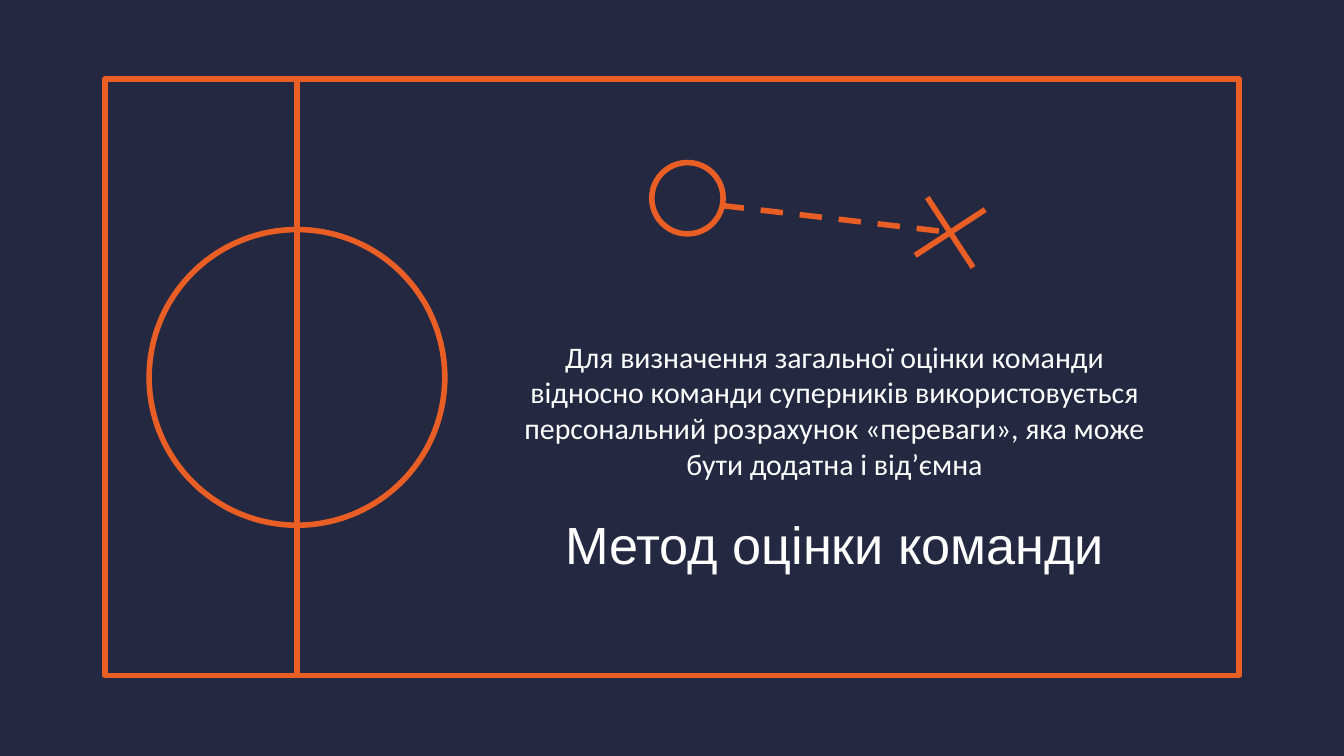
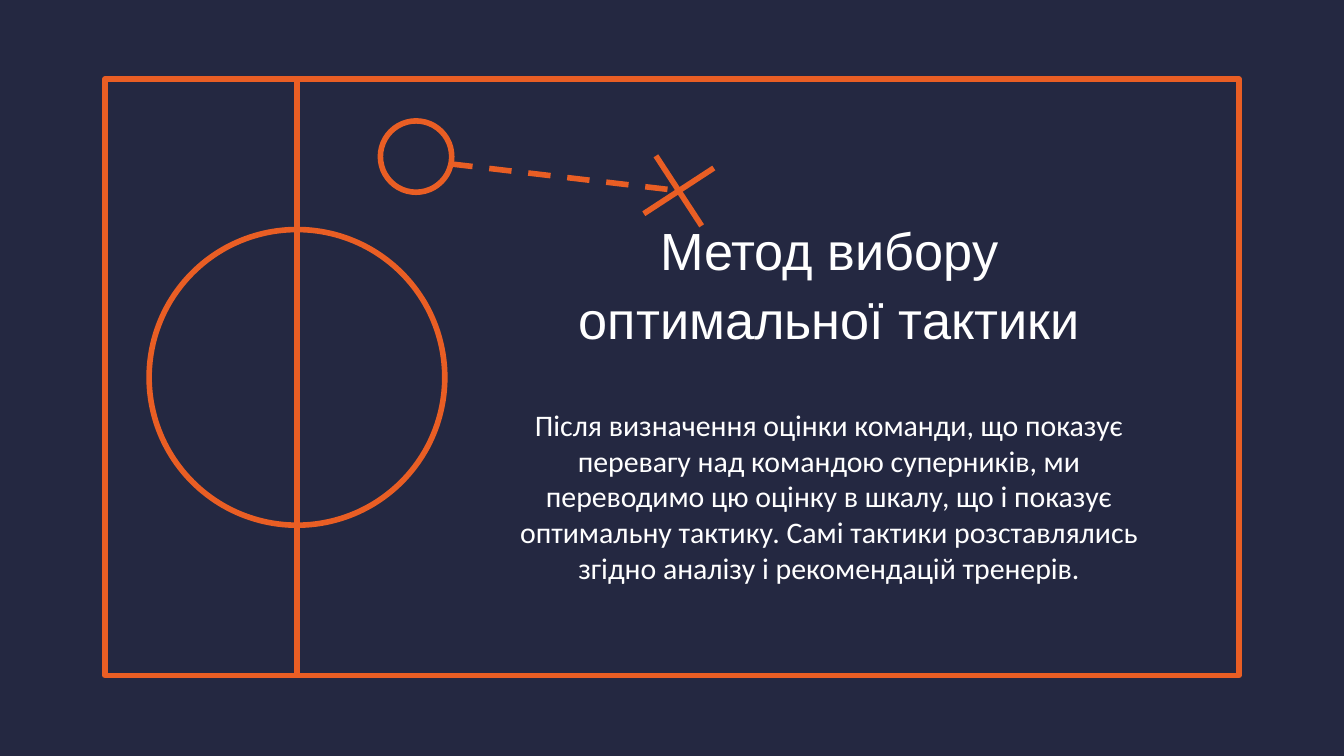
"""Builds two slides on team rating and tactics over a sports field drawing."""
from dataclasses import dataclass

from lxml import etree
from pptx import Presentation
from pptx.dml.color import RGBColor
from pptx.enum.dml import MSO_LINE
from pptx.enum.shapes import MSO_CONNECTOR, MSO_SHAPE
from pptx.enum.text import MSO_ANCHOR, MSO_AUTO_SIZE, PP_ALIGN
from pptx.oxml.ns import qn
from pptx.util import Pt

RECT, OVAL = MSO_SHAPE.RECTANGLE, MSO_SHAPE.OVAL
STRAIGHT, DASH = MSO_CONNECTOR.STRAIGHT, MSO_LINE.DASH
MIDDLE, CENTER, FIXED = MSO_ANCHOR.MIDDLE, PP_ALIGN.CENTER, MSO_AUTO_SIZE.NONE


@dataclass(frozen=True)
class Theme:
    """Colours, fonts and sizes of the deck."""
    navy: RGBColor = RGBColor.from_string("242841")
    orange: RGBColor = RGBColor.from_string("E95E24")
    white: RGBColor = RGBColor.from_string("FFFFFF")
    head: tuple = ("Arial", 28, 1.1)
    body: tuple = ("Calibri", 16, 1.0)
    stroke: float = 3
    inset: float = 7.2


THEME = Theme()
SIZE = (720, 405)
FRAME = (56.2, 42.5, 607.6, 319.4)
MID, RADIUS = 159.1, 79.2
BALL = 38.2
CROSS = [((141.1, 49.7), (178.6, 25.2)), ((172.1, 56.2), (147.6, 18.7))]
PASS = ((37.4, 23), (160.2, 37.4))
SLIDES = [
    {
        "title": "Метод оцінки команди",
        "head": (265, 270, 364.3, 38.9),
        "text": "Для визначення загальної оцінки команди відносно команди "
                "суперників використовується персональний розрахунок «переваги», "
                "яка може бути додатна і від’ємна",
        "body": (265, 175.7, 364.3, 87.8),
        "play": (349.2, 87.1),
    },
    {
        "title": "Метод вибору оптимальної тактики",
        "head": (262.1, 131, 364.3, 38.9),
        "text": "Після визначення оцінки команди, що показує перевагу над "
                "командою суперників, ми переводимо цю оцінку в шкалу, що і "
                "показує оптимальну тактику. Самі тактики розставлялись згідно "
                "аналізу і рекомендацій тренерів.",
        "body": (262.1, 205.2, 364.3, 121),
        "play": (203.8, 64.8),
    },
]


def apply(item, values):
    """Set each named attribute of the item."""
    for name, value in values.items():
        setattr(item, name, value)


def write(box, text, place, style):
    """Place a text shape and fill it with centred white text."""
    font, size, gap = style
    apply(box, dict(zip(("left", "top", "width", "height"), map(Pt, place))))
    frame = box.text_frame
    sides = ("left", "top", "right", "bottom")
    apply(frame, {f"margin_{side}": Pt(THEME.inset) for side in sides})
    apply(frame, {"word_wrap": True, "auto_size": FIXED,
                  "vertical_anchor": MIDDLE, "text": text})
    para = frame.paragraphs[0]
    apply(para, {"alignment": CENTER, "line_spacing": gap})
    run = para.runs[0]
    apply(run.font, {"name": font, "size": Pt(size), "bold": False})
    run.font.color.rgb = THEME.white


def ink(item):
    """Give a shape or line the orange stroke."""
    item.line.color.rgb = THEME.orange
    item.line.width = Pt(THEME.stroke)


def outline(shapes, kind, place, fill=None):
    """Add a stroked shape, hollow unless a fill is given."""
    item = shapes.add_shape(kind, *map(Pt, place))
    item.shadow.inherit = False
    if fill is None:
        item.fill.background()
    else:
        item.fill.solid()
        item.fill.fore_color.rgb = fill
    ink(item)


def stroke(shapes, ends, shift=(0, 0), dash=None):
    """Add a straight line between two shifted points."""
    spots = [Pt(a + b) for end in ends for a, b in zip(end, shift)]
    item = shapes.add_connector(STRAIGHT, *spots)
    etree.SubElement(item._element.spPr, qn("a:effectLst"))
    ink(item)
    if dash is not None:
        item.line.dash_style = dash


def draw_field(slide):
    """Draw the frame, the halfway line and the centre circle."""
    outline(slide.shapes, RECT, FRAME)
    top, high = FRAME[1], FRAME[3]
    shapes = slide.shapes.add_group_shape().shapes
    stroke(shapes, ((MID, top), (MID, top + high)))
    left, rise = MID - RADIUS, top + high / 2 - RADIUS
    outline(shapes, OVAL, (left, rise, 2 * RADIUS, 2 * RADIUS))


def draw_play(slide, spot):
    """Draw the ball, the cross and the dashed pass at a spot."""
    shapes = slide.shapes.add_group_shape().shapes
    outline(shapes, OVAL, (*spot, BALL, BALL), THEME.navy)
    for ends in CROSS:
        stroke(shapes, ends, spot)
    stroke(shapes, PASS, spot, DASH)


def main():
    """Build and save the deck."""
    deck = Presentation()
    apply(deck, dict(zip(("slide_width", "slide_height"), map(Pt, SIZE))))
    back = deck.slide_master.background.fill
    back.solid()
    back.fore_color.rgb = THEME.navy
    for data in SLIDES:
        slide = deck.slides.add_slide(deck.slide_layouts.get_by_name("Title Only"))
        draw_field(slide)
        write(slide.shapes.title, data["title"], data["head"], THEME.head)
        box = slide.shapes.add_textbox(*map(Pt, data["body"]))
        write(box, data["text"], data["body"], THEME.body)
        draw_play(slide, data["play"])
    deck.save("out.pptx")


if __name__ == "__main__":
    main()
